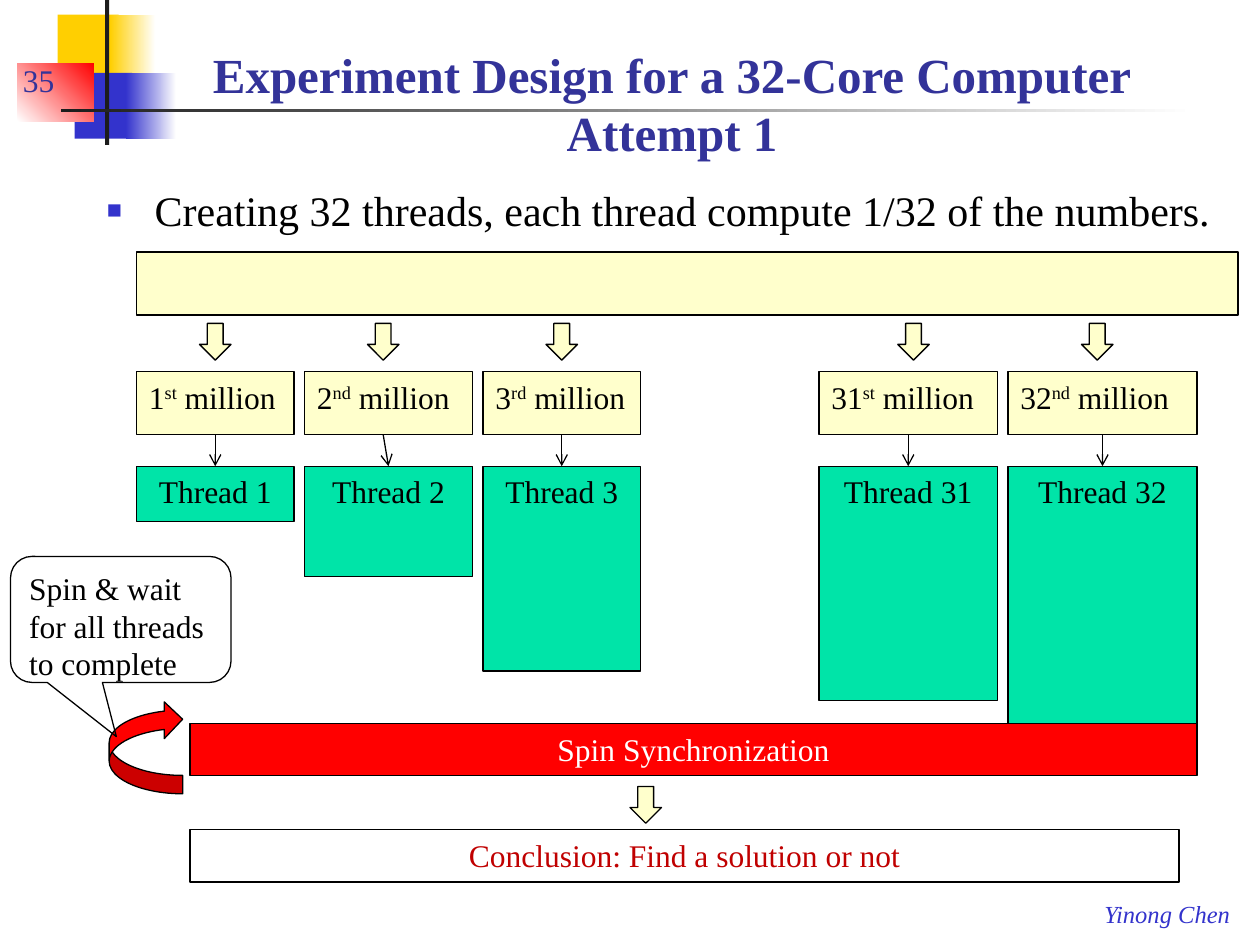
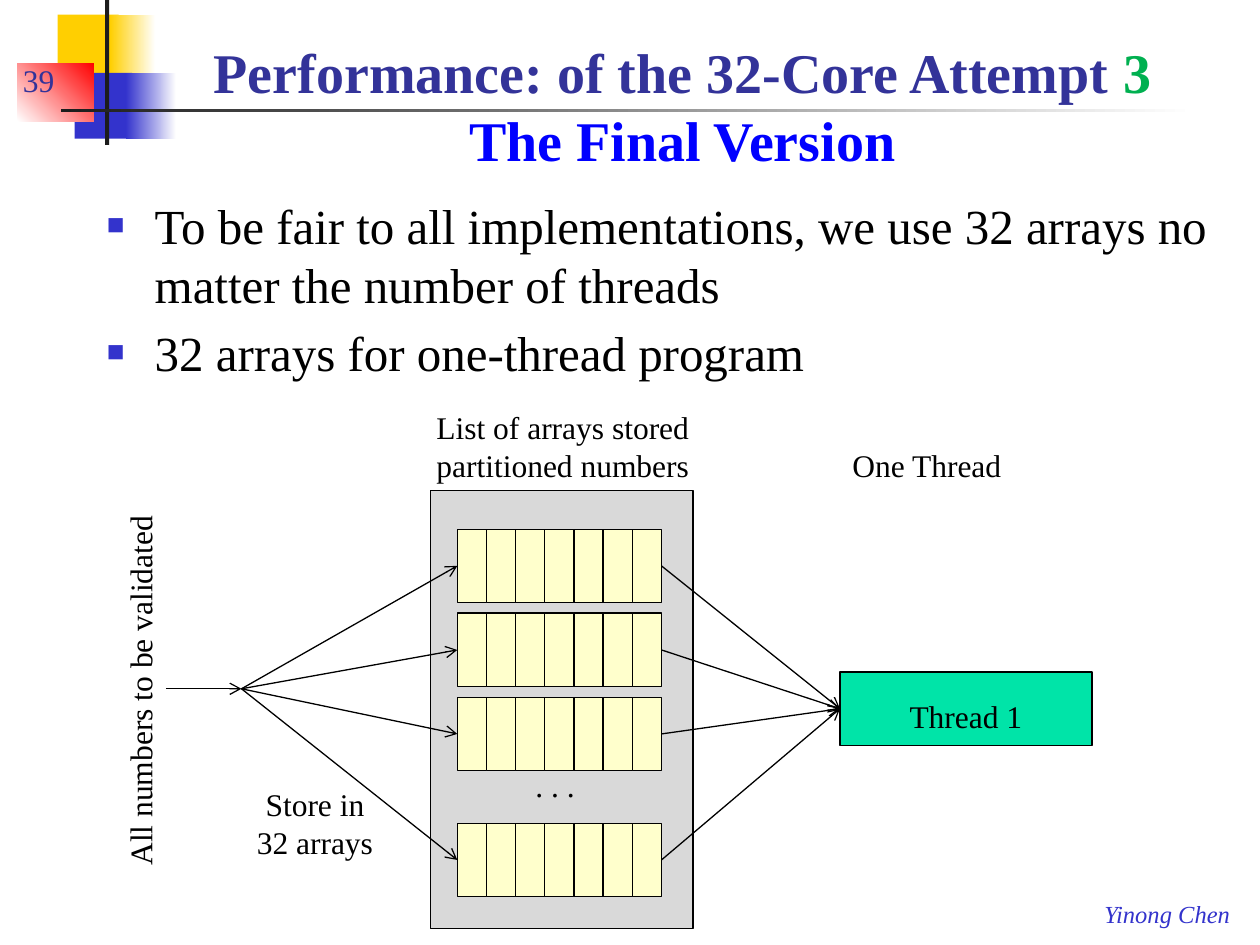
from lxml import etree
from pptx import Presentation
from pptx.dml.color import RGBColor
from pptx.enum import shapes, text
from pptx.oxml import ns
from pptx import util as u

COLORS = {
    "ink": "000000", "paper": "FFFFFF", "rule": "1C1C1C", "gold": "FFCF01",
    "blue": "3333CC", "title": "333399", "red": "FF0000", "cream": "FFFFCC",
    "mint": "00E4A8", "gray": "D9D9D9", "verdict": "C00000",
    "green": "00B050", "final": "0000FF",
}
COLUMNS, ROWS = 120, 90
FONT = "Times New Roman"
SHAPE = shapes.MSO_SHAPE
CENTER = text.PP_ALIGN.CENTER
BOTTOM = text.MSO_ANCHOR.BOTTOM


def rgb(name):
    return RGBColor.from_string(COLORS[name])


class Deck:
    """Holds the style and the current slide; lengths are grid columns and rows."""

    def __init__(self):
        self.prs = Presentation()
        self.prs.slide_width, self.prs.slide_height = u.Inches(10), u.Inches(7.5)
        self.slide = None

    def x(self, columns):
        return round(self.prs.slide_width * columns / COLUMNS)

    def y(self, rows):
        return round(self.prs.slide_height * rows / ROWS)

    def place(self, left, top, width, height):
        return self.x(left), self.y(top), self.x(width), self.y(height)

    def new_slide(self, number):
        """Add a slide with the corner ornament, author line and page number."""
        self.slide = self.prs.slides.add_slide(self.prs.slide_layouts[6])
        for area, fill, angle in [
            ((5.5, 1.4, 5.8, 6.25), "gold", 0),
            ((10.5, 1.4, 4.3, 6.25), ("gold", "paper"), 0),
            ((7.1, 6.95, 5.5, 6.25), "blue", 0),
            ((12, 6.95, 4.8, 6.25), ("blue", "paper"), 0),
            ((1.65, 6, 7.3, 5.55), ("paper", "red"), 45),
            ((10, 0, 0.4, 13.8), "rule", 0),
            ((5.8, 10.35, 108, 0.36), ("rule", "paper"), 0),
        ]:
            self.box(area, fill, outline=None, angle=angle)
        self.label((104, 85, 14.4, 4.05), ["Yinong Chen"], wrap=False,
                   size=14, color="blue", italic=True)
        self.label((1, 4, 10.2, 6), [number], anchor=BOTTOM, color="title")

    def box(self, area, fill, kind=SHAPE.RECTANGLE, outline="ink", angle=0,
            adjust=(), lines=(), **style):
        """Draw a preset shape; a pair of fill colours makes a gradient."""
        shape = self.slide.shapes.add_shape(kind, *self.place(*area))
        shape.shadow.inherit = False
        for index, value in enumerate(adjust):
            shape.adjustments[index] = value
        if fill is None:
            shape.fill.background()
        elif isinstance(fill, tuple):
            shape.fill.gradient()
            shape.fill.gradient_angle = angle
            for stop, name, position in zip(shape.fill.gradient_stops, fill, (0, 1)):
                stop.color.rgb, stop.position = rgb(name), position
        else:
            shape.fill.solid()
            shape.fill.fore_color.rgb = rgb(fill)
        if outline:
            shape.line.color.rgb = rgb(outline)
            shape.line.width = u.Pt(0.75)
        else:
            shape.line.fill.background()
        if lines:
            self.set_lines(shape.text_frame, lines, **style)
        return shape

    def label(self, area, lines, rotation=0, **style):
        caption = self.slide.shapes.add_textbox(*self.place(*area))
        caption.rotation = rotation
        self.set_lines(caption.text_frame, lines, **style)

    def title(self, area, runs, size):
        self.label(area, [runs], anchor=BOTTOM, align=CENTER, size=size,
                   color="title", bold=True)

    def bullets(self, area, lines, size):
        self.label(area, lines, size=size, bullet=True)

    def set_lines(self, frame, lines, align=text.PP_ALIGN.LEFT, wrap=True,
                  spacing=None, anchor=text.MSO_ANCHOR.TOP, bullet=False, **style):
        """Fill a frame; each line is a string or a list of (string, style) runs."""
        frame.word_wrap, frame.vertical_anchor = wrap, anchor
        for index, line in enumerate(lines):
            paragraph = frame.add_paragraph() if index else frame.paragraphs[0]
            if bullet:
                self.add_bullet(paragraph)
                if index:
                    paragraph.space_before = u.Pt(style["size"] * 0.2)
            paragraph.alignment = align
            if spacing:
                paragraph.line_spacing = spacing
            for words, change in [(line, {})] if isinstance(line, str) else line:
                if words == "\n":
                    paragraph.add_line_break()
                else:
                    self.add_run(paragraph, words, {**style, **change})

    def add_run(self, paragraph, words, style):
        values = {"name": FONT, "size": 18, "color": "ink", **style}
        run = paragraph.add_run()
        run.text = words
        run.font.color.rgb = rgb(values.pop("color"))
        if values.pop("raised", False):
            run._r.get_or_add_rPr().set("baseline", "30000")
        values["size"] = u.Pt(values["size"])
        for key, value in values.items():
            setattr(run.font, key, value)

    def add_bullet(self, paragraph):
        props = paragraph._p.get_or_add_pPr()
        props.set("marL", str(u.Inches(0.38)))
        props.set("indent", str(u.Inches(-0.38)))
        color = etree.SubElement(props, ns.qn("a:buClr"))
        etree.SubElement(color, ns.qn("a:srgbClr"), val=COLORS["blue"])
        etree.SubElement(props, ns.qn("a:buSzPct"), val="60000")
        etree.SubElement(props, ns.qn("a:buFont"), typeface=FONT)
        etree.SubElement(props, ns.qn("a:buChar"), char="■")

    def arrow(self, start, end):
        """Draw a thin line with an open head at its end."""
        link = self.slide.shapes.add_connector(
            shapes.MSO_CONNECTOR.STRAIGHT, self.x(start[0]), self.y(start[1]),
            self.x(end[0]), self.y(end[1]))
        link.line.color.rgb = rgb("ink")
        link.line.width = u.Pt(0.75)
        props = link.element.spPr
        etree.SubElement(props.find(ns.qn("a:ln")), ns.qn("a:tailEnd"), type="arrow")
        etree.SubElement(props, ns.qn("a:effectLst"))

    def block_arrow(self, left, top):
        self.box((left, top, 3, 3.5), "cream", SHAPE.DOWN_ARROW, adjust=(0.5, 0.5))


def attempt_one(deck):
    deck.new_slide("35")
    deck.title((9, 4, 110, 12),
               [("Experiment Design for a 32-Core Computer", {}), ("\n", {}),
                ("Attempt 1", {})], 28)
    deck.bullets((9, 17, 108.5, 16),
                 ["Creating 32 threads, each thread compute 1/32 of the numbers."], 24)
    deck.box((13, 24, 104.9, 6), "cream")

    # thread, ordinal ending, left, width, thread height, block arrow, link start
    for thread, ending, left, width, height, feed, link in [
        (1, "st", 13, 15, 5.25, 19, 20.5),
        (2, "nd", 29, 16, 10.5, 35, 36.5),
        (3, "rd", 46, 15, 19.5, 52, 53.5),
        (31, "st", 78, 17, 22.3, 85.5, 86.5),
        (32, "nd", 96, 18, 24.6, 103, 105),
    ]:
        deck.block_arrow(feed, 30.8)
        share = [(str(thread), {}), (ending, {"raised": True}), (" million", {})]
        deck.box((left, 35.4, width, 6), "cream", lines=[share])
        deck.box((left, 44.4, width, height), "mint",
                 lines=[f"Thread {thread}"], align=CENTER)
        deck.arrow((link, 41.4), (left + width / 2, 44.4))

    deck.box((18.1, 68.9, 95.9, 5), "red", lines=["Spin Synchronization"],
             align=CENTER, color="paper")
    deck.block_arrow(60, 74.9)
    deck.box((18.1, 79, 94.2, 5), "paper", align=CENTER, color="verdict",
             lines=["Conclusion: Find a solution or not"])
    spin = deck.box((10.4, 66.75, 7, 8.85), "red", SHAPE.CURVED_RIGHT_ARROW)
    spin.element.spPr.get_or_add_xfrm().set("flipV", "1")
    deck.box((1, 53, 21, 12), None, SHAPE.ROUNDED_RECTANGULAR_CALLOUT,
             adjust=(-0.02, 0.93, 0.17),
             lines=["Spin & wait for all threads to complete"])


def final_version(deck):
    deck.new_slide("39")
    deck.title((15, 1, 100, 16),
               [("Performance: of the 32-Core Attempt ", {}), ("3", {"color": "green"}),
                ("\n", {}), ("The Final Version", {"color": "final"})], 32)
    deck.bullets((9, 18, 108.5, 23.9),
                 ["To be fair to all implementations, we use 32 arrays no matter "
                  "the number of threads", "32 arrays for one-thread program"], 28)

    deck.box((41, 46.7, 25, 41.75), "gray")
    deck.box((80, 64, 24, 7), "mint", lines=["Thread 1"], align=CENTER, spacing=1.5)
    array_left, array_right, cells, height = 43.55, 63, 7, 7
    cell = (array_right - array_left) / cells
    source, thread = (23, 65.6), (80, 67.5)
    for step in (0, 1, 2, 3.5):
        top = 50.4 + 8 * step
        middle = top + height / 2
        for index in range(cells):
            deck.box((array_left + index * cell, top, cell, height), "cream")
        deck.arrow(source, (array_left, middle))
        deck.arrow((array_right, middle), thread)
    deck.arrow((15.8, 65.6), source)

    deck.label((-4.7, 63.15, 36.1, 4.85), ["All numbers to be validated"],
               rotation=270, wrap=False)
    deck.label((40.2, 38.3, 26.8, 8.5), ["List of arrays stored", "partitioned numbers"],
               wrap=False, align=CENTER)
    deck.label((80, 41.9, 16.8, 4.85), ["One Thread"], wrap=False)
    deck.label((23, 74.2, 14, 8.5), ["Store in 32 arrays"], align=CENTER)
    deck.label((49.8, 72.35, 6.25, 4.85), [". . ."], wrap=False)


def main():
    deck = Deck()
    attempt_one(deck)
    final_version(deck)
    deck.prs.save("out.pptx")


if __name__ == "__main__":
    main()
